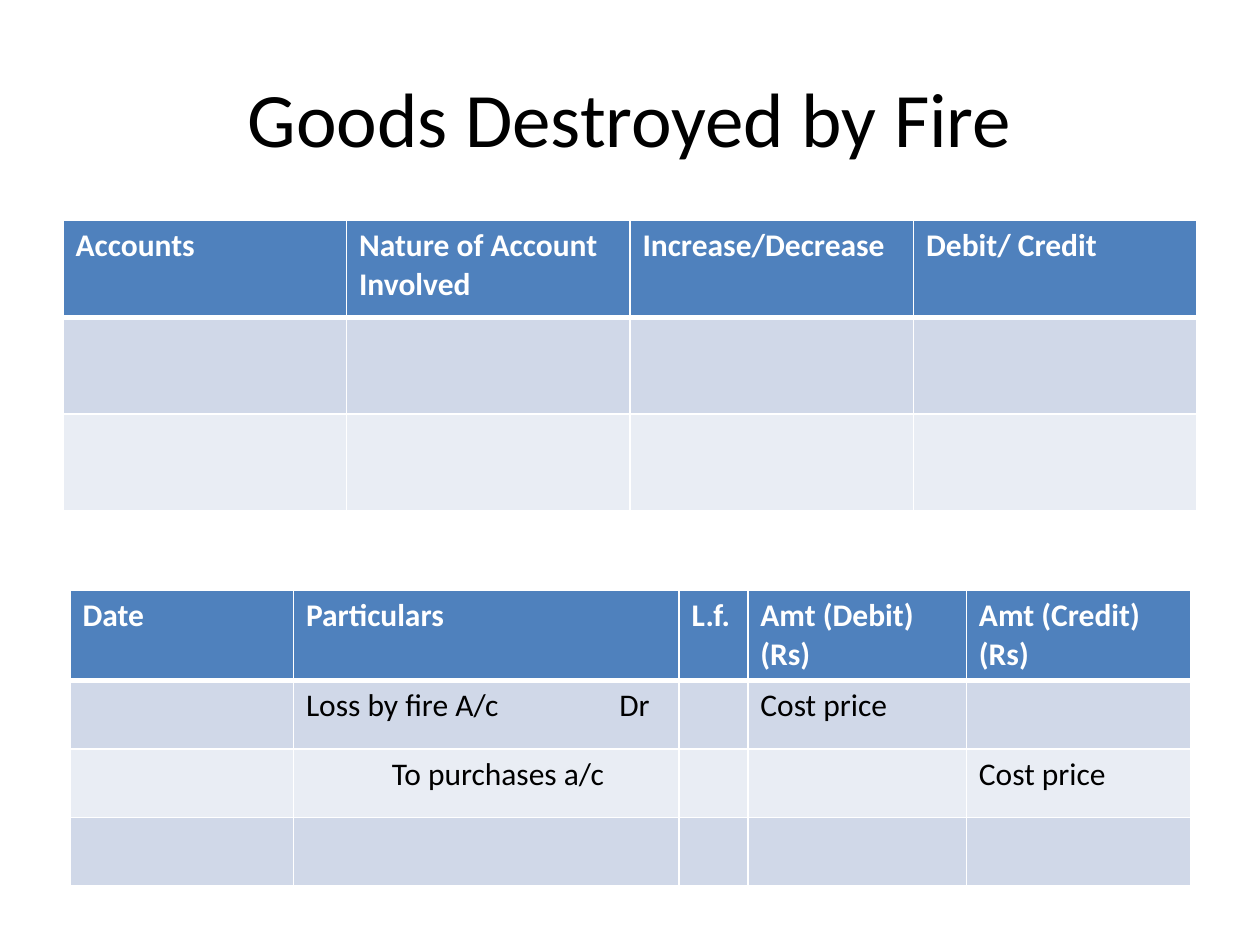
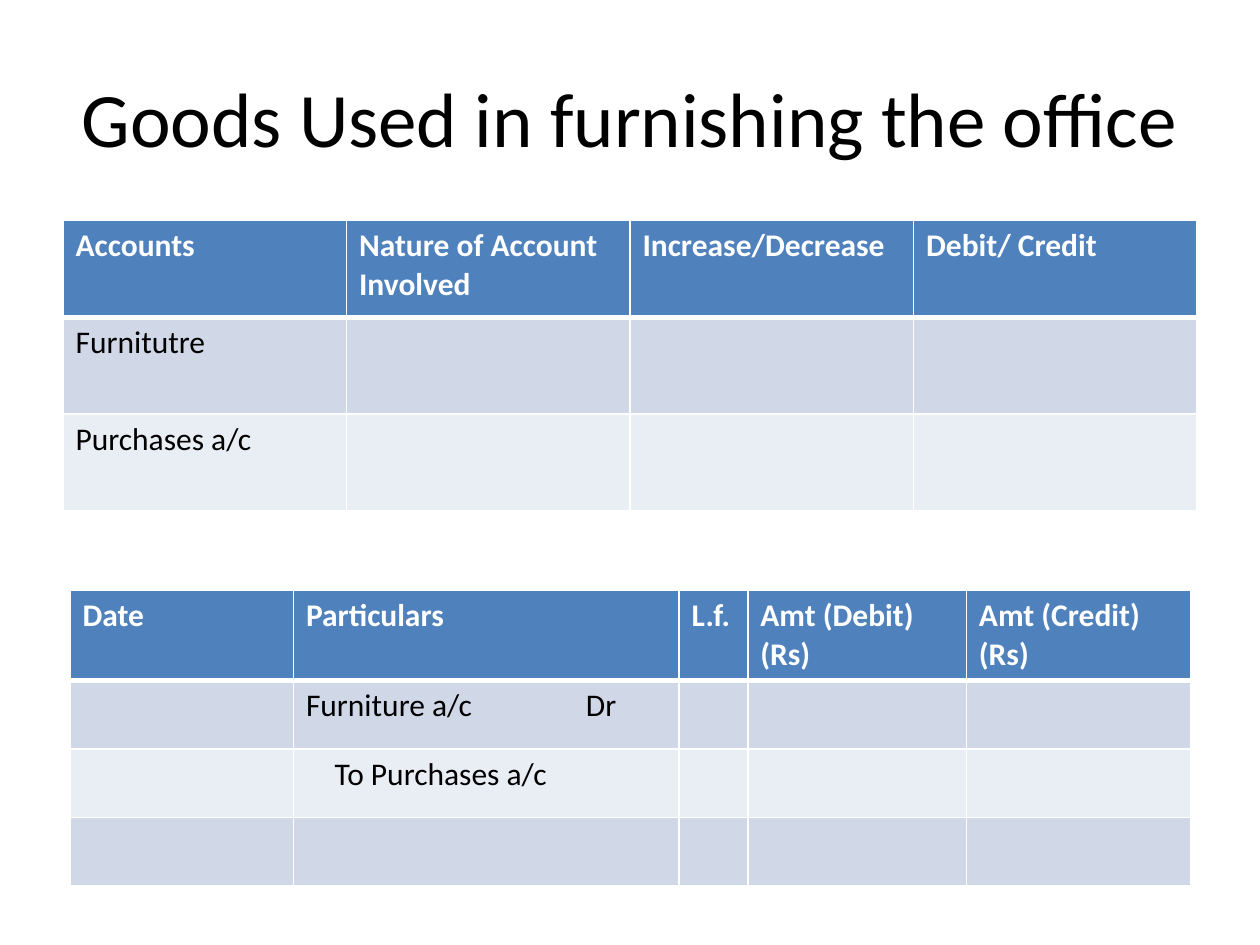
from lxml import etree
from pptx import Presentation
from pptx.dml.color import RGBColor
from pptx.enum.text import MSO_ANCHOR, PP_ALIGN
from pptx.oxml.ns import qn
from pptx.util import Pt

MIDDLE = MSO_ANCHOR.MIDDLE
CENTER = PP_ALIGN.CENTER
TITLE_ONLY = 5

FONT = "Calibri"
WHITE, BLACK = "FFFFFF", "000000"
HEADER_FILL = "4F81BD"
BAND_FILLS = ["D0D8E8", "E9EDF4"]

ANALYSIS = {
    "left": 36, "top": 126,
    "widths": [162] * 4,
    "heights": [55.33] * 3,
    "headers": ["Accounts", "Nature of Account Involved", "Increase/Decrease", "Debit/ Credit"],
}
JOURNAL = {
    "left": 40, "top": 337.5,
    "widths": [127.7, 220.3, 39.4, 124.9, 128],
    "heights": [51.2, 39.2, 39.2, 39.2],
    "headers": ["Date", "Particulars", "L.f.", "Amt (Debit) (Rs)", "Amt (Credit) (Rs)"],
}

SLIDES = [
    {
        "title": "Goods Destroyed by Fire",
        "analysis": {},
        "journal": {
            (1, 1): "Loss by fire A/c\tDr", (1, 3): "Cost price",
            (2, 1): "To purchases a/c", (2, 4): "Cost price",
        },
        "debit_tab": 179, "credit_indent": 49,
    },
    {
        "title": "Goods Used in furnishing the office",
        "analysis": {(1, 0): "Furnitutre", (2, 0): "Purchases a/c"},
        "journal": {(1, 1): "Furniture a/c\tDr", (2, 1): "To Purchases a/c"},
        "debit_tab": 160, "credit_indent": 16.4,
    },
]


def color(value):
    return RGBColor.from_string(value)


def add_ledger(page, layout, entries):
    widths, heights = layout["widths"], layout["heights"]
    frame = page.shapes.add_table(
        len(heights), len(widths), Pt(layout["left"]), Pt(layout["top"]),
        Pt(sum(widths)), Pt(sum(heights)))
    table = frame.table
    for column, width in zip(table.columns, widths):
        column.width = Pt(width)
    texts = {(0, column): text for column, text in enumerate(layout["headers"])} | entries
    for row, height in enumerate(heights):
        table.rows[row].height = Pt(height)
        header = row == 0
        borders = {"lnL": 1, "lnR": 1, "lnT": 3 if row == 1 else 1, "lnB": 3 if header else 1}
        for column in range(len(widths)):
            cell = table.cell(row, column)
            properties = cell._tc.get_or_add_tcPr()
            for side, weight in borders.items():
                line = etree.SubElement(properties, qn("a:" + side), w=str(Pt(weight)))
                fill = etree.SubElement(line, qn("a:solidFill"))
                etree.SubElement(fill, qn("a:srgbClr"), val=WHITE)
            cell.fill.solid()
            cell.fill.fore_color.rgb = color(HEADER_FILL if header else BAND_FILLS[(row - 1) % 2])
            para = cell.text_frame.paragraphs[0]
            if (row, column) in texts:
                span = para.add_run()
                span.text = texts[row, column]
                for name, value in {"name": FONT, "size": Pt(18), "bold": header}.items():
                    setattr(span.font, name, value)
                span.font.color.rgb = color(WHITE if header else BLACK)
    return table


deck = Presentation()
deck.slide_width, deck.slide_height = Pt(720), Pt(540)

for content in SLIDES:
    page = deck.slides.add_slide(deck.slide_layouts[TITLE_ONLY])
    title = page.shapes.title
    place = {"left": Pt(36), "top": Pt(21.6), "width": Pt(648), "height": Pt(90)}
    for name, value in place.items():
        setattr(title, name, value)
    title.text_frame.text = content["title"]
    title.text_frame.vertical_anchor = MIDDLE
    para = title.text_frame.paragraphs[0]
    para.alignment = CENTER
    for name, value in {"name": FONT, "size": Pt(44)}.items():
        setattr(para.runs[0].font, name, value)
    para.runs[0].font.color.rgb = color(BLACK)

    add_ledger(page, ANALYSIS, content["analysis"])
    journal = add_ledger(page, JOURNAL, content["journal"])

    debit = journal.cell(1, 1).text_frame.paragraphs[0]._p.get_or_add_pPr()
    tabs = etree.SubElement(debit, qn("a:tabLst"))
    etree.SubElement(tabs, qn("a:tab"), pos=str(Pt(content["debit_tab"])), algn="l")
    credit = journal.cell(2, 1).text_frame.paragraphs[0]._p.get_or_add_pPr()
    credit.set("marL", str(Pt(content["credit_indent"])))

deck.save("out.pptx")
